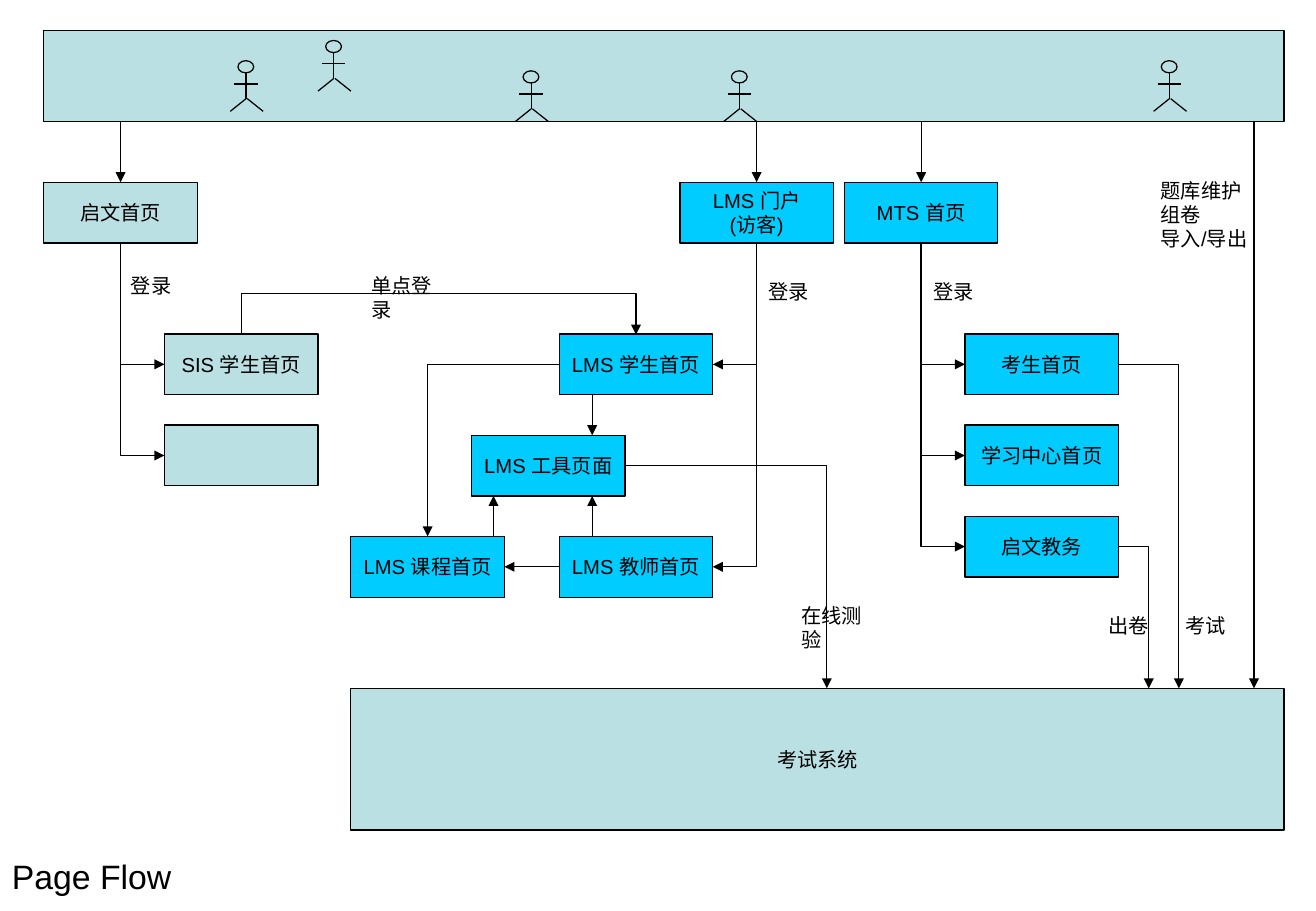
from dataclasses import dataclass
from typing import Any

import pptx
import pptx.dml.color
import pptx.enum.shapes
import pptx.enum.text
import pptx.oxml.ns
import pptx.util
from lxml import etree

WIDTH, HEIGHT = pptx.util.Inches(10.84), pptx.util.Inches(7.5)
COLUMNS, ROWS = 120, 90
PAGE_COLUMNS, PAGE_ROWS = 14, 6
BLACK = pptx.dml.color.RGBColor(0, 0, 0)
PALE = pptx.dml.color.RGBColor(0xBB, 0xE0, 0xE3)
CYAN = pptx.dml.color.RGBColor(0x00, 0xCC, 0xFF)
PRESET = pptx.enum.shapes.MSO_SHAPE
STRAIGHT = pptx.enum.shapes.MSO_CONNECTOR.STRAIGHT
ANCHOR = pptx.enum.text.MSO_ANCHOR
ALIGN = pptx.enum.text.PP_ALIGN
AUTO_SIZE = pptx.enum.text.MSO_AUTO_SIZE
TOP, LEFT, BOTTOM, RIGHT = range(4)


@dataclass
class Port:
    """A line end, optionally glued to one side of a shape."""
    x: int
    y: int
    shape: Any = None
    side: int = 0


def across(columns):
    return round(columns * WIDTH / COLUMNS)


def down(rows):
    return round(rows * HEIGHT / ROWS)


def spot(column, row):
    return Port(across(column), down(row))


def middle(shape, side):
    x_share, y_share = {TOP: (0.5, 0), LEFT: (0, 0.5), BOTTOM: (0.5, 1), RIGHT: (1, 0.5)}[side]
    return Port(shape.left + int(shape.width * x_share),
                shape.top + int(shape.height * y_share), shape, side)


def write(frame, text, size=12, align=ALIGN.LEFT):
    frame.text = text
    for paragraph in frame.paragraphs:
        paragraph.alignment = align
        paragraph.font.name = "Arial"
        paragraph.font.size = pptx.util.Pt(size)
        paragraph.font.color.rgb = BLACK


def outlined(shapes, preset, column, row, columns, rows, color):
    shape = shapes.add_shape(preset, across(column), down(row), across(columns), down(rows))
    shape.shadow.inherit = False
    shape.fill.solid()
    shape.fill.fore_color.rgb = color
    shape.line.color.rgb = BLACK
    shape.line.width = pptx.util.Pt(0.75)
    return shape


def page(slide, column, row, text, color=CYAN, columns=PAGE_COLUMNS, rows=PAGE_ROWS):
    shape = outlined(slide.shapes, PRESET.FLOWCHART_PROCESS, column, row, columns, rows, color)
    if text:
        shape.text_frame.word_wrap = False
        shape.text_frame.vertical_anchor = ANCHOR.MIDDLE
        write(shape.text_frame, text, align=ALIGN.CENTER)
    return shape


def label(slide, column, row, text, columns=5.87, rows=3.6):
    frame = slide.shapes.add_textbox(
        across(column), down(row), across(columns), down(rows)).text_frame
    frame.word_wrap = False
    frame.auto_size = AUTO_SIZE.SHAPE_TO_FIT_TEXT
    write(frame, text)


def stroke(shapes, begin, end):
    line = shapes.add_connector(STRAIGHT, begin.x, begin.y, end.x, end.y)
    line.line.color.rgb = BLACK
    line.line.width = pptx.util.Pt(0.75)
    etree.SubElement(line._element.spPr, pptx.oxml.ns.qn("a:effectLst"))
    return line


def arrow(slide, begin, end):
    line = stroke(slide.shapes, begin, end)
    if begin.shape is not None:
        line.begin_connect(begin.shape, begin.side)
    if end.shape is not None:
        line.end_connect(end.shape, end.side)
    etree.SubElement(line.line._get_or_add_ln(), pptx.oxml.ns.qn("a:tailEnd"), type="triangle")
    return line


def elbow(slide, begin, end, rise=0):
    """Bent arrow; it leaves vertically from a top or bottom side, rise lifts it over."""
    line = arrow(slide, begin, end)
    properties = line._element.spPr
    geometry = properties.find(pptx.oxml.ns.qn("a:prstGeom"))
    geometry.set("prst", "bentConnector3" if rise else "bentConnector2")
    if begin.side not in (TOP, BOTTOM):
        return
    rightward = end.x > begin.x
    length = max(end.y - begin.y, pptx.util.Inches(0.01))
    breadth = abs(end.x - begin.x)
    line.left = (begin.x + end.x - length) // 2
    line.top = (begin.y + end.y - breadth) // 2
    line.width, line.height = length, breadth
    properties.xfrm.flipH = rightward
    properties.xfrm.flipV = False
    properties.xfrm.rot = 270 if rightward else 90
    if rise:
        guides = geometry.find(pptx.oxml.ns.qn("a:avLst"))
        etree.SubElement(guides, pptx.oxml.ns.qn("a:gd"), name="adj1",
                         fmla=f"val {-round(down(rise) / length * 100000)}")


def actor(slide, column, row):
    figure = slide.shapes.add_group_shape().shapes
    outlined(figure, PRESET.FLOWCHART_CONNECTOR, column + 0.7, row, 1.44, 1.2, PALE)
    for x1, y1, x2, y2 in ((0.36, 2.3, 2.5, 2.3), (1.44, 1.2, 1.44, 3.75),
                           (1.44, 3.75, 0, 5), (1.55, 3.75, 3, 5)):
        stroke(figure, spot(column + x1, row + y1), spot(column + x2, row + y2))


def users(slide, left, top):
    page(slide, left, top, "", PALE, 113.1, 9)
    for column, row in ((17, 3), (25, 1), (62, 4), (101.2, 3), (43, 4)):
        actor(slide, left + column, top + row)


def entry(slide, left, top, text, color=CYAN):
    home = page(slide, left, top, text, color)
    door = middle(home, TOP)
    arrow(slide, Port(door.x, down(top - PAGE_ROWS)), door)
    return home


def student_system(slide, left, top):
    home = entry(slide, left, top, "启文首页", PALE)
    student = page(slide, left + 11, top + 15, "SIS 学生首页", PALE)
    unnamed = page(slide, left + 11, top + 24, "", PALE)
    for target in (student, unnamed):
        elbow(slide, middle(home, BOTTOM), middle(target, LEFT))
    label(slide, left + 6.85, top + 8.4, "登录")
    return student


def learning_system(slide, left, top):
    """LMS pages; returns the student page and the tool page."""
    portal = entry(slide, left + 30, top, "LMS 门户\n(访客)")
    student = page(slide, left + 19, top + 15, "LMS 学生首页")
    tools = page(slide, left + 11, top + 25, "LMS 工具页面")
    course = page(slide, left, top + 35, "LMS 课程首页")
    teacher = page(slide, left + 19, top + 35, "LMS 教师首页")
    for target in (student, teacher):
        elbow(slide, middle(portal, BOTTOM), middle(target, RIGHT))
    elbow(slide, middle(student, LEFT), middle(course, TOP))
    arrow(slide, middle(teacher, LEFT), middle(course, RIGHT))
    for column, start, finish in ((13, 35, 31), (22, 35, 31), (22, 21, 25)):
        arrow(slide, spot(left + column, top + start), spot(left + column, top + finish))
    label(slide, left + 37, top + 9, "登录")
    return student, tools


def test_system(slide, left, top):
    """MTS pages; returns the examinee page and the office page."""
    home = entry(slide, left, top, "MTS 首页")
    pages = [page(slide, left + 11, top + 15 + 9 * index, text)
             for index, text in enumerate(("考生首页", "学习中心首页", "启文教务"))]
    for target in pages:
        elbow(slide, middle(home, BOTTOM), middle(target, LEFT))
    label(slide, left + 7, top + 9, "登录")
    return pages[0], pages[2]


def exam_system(slide, left, top, tools, examinee, office):
    page(slide, left, top, "考试系统", PALE, 85.1, 14)
    for source, column in ((office, 72.75), (examinee, 75.5), (tools, 43.4)):
        elbow(slide, middle(source, RIGHT), spot(left + column, top))
    arrow(slide, spot(left + 82.35, 12), spot(left + 82.35, top))
    label(slide, left + 40, top - 9, "在线测验", 9.52)
    label(slide, left + 68, top - 8, "出卷")
    label(slide, left + 75, top - 8, "考试")
    label(slide, left + 72.75, top - 51, "题库维护\n组卷\n导入/导出", 10.96, 8.4)


def title(slide, left, top, columns, rows):
    frame = slide.shapes.add_textbox(
        across(left), down(top), across(columns), down(rows)).text_frame
    frame.word_wrap = True
    frame.vertical_anchor = ANCHOR.MIDDLE
    write(frame, "Page Flow", 20)


def main():
    deck = pptx.Presentation()
    deck.slide_width, deck.slide_height = WIDTH, HEIGHT
    slide = deck.slides.add_slide(deck.slide_layouts[6])
    users(slide, 4, 3)
    title(slide, 0, 83, 35, 7)
    sis_student = student_system(slide, 4, 18)
    lms_student, tools = learning_system(slide, 32, 18)
    elbow(slide, middle(sis_student, TOP), middle(lms_student, TOP), rise=4)
    label(slide, 32.75, 26.4, "单点登录", 9.52)
    examinee, office = test_system(slide, 77, 18)
    exam_system(slide, 32, 68, tools, examinee, office)
    deck.save("out.pptx")


if __name__ == "__main__":
    main()
